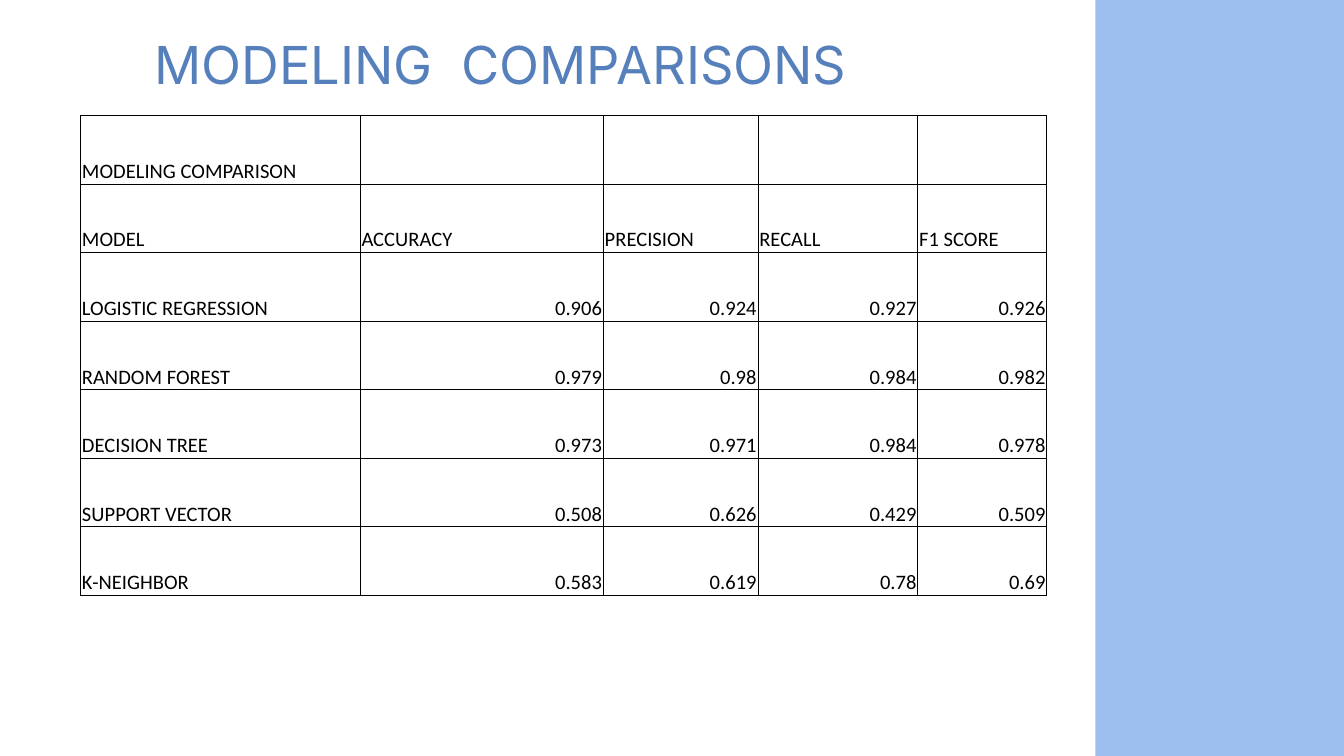
import pptx
import pptx.dml.color
import pptx.enum.shapes
import pptx.enum.text
import pptx.oxml
import pptx.oxml.ns
import pptx.util

Inches = pptx.util.Inches
Pt = pptx.util.Pt
RGB = pptx.dml.color.RGBColor.from_string

# Content
TITLE = "MODELING  COMPARISONS"
COMPARISON = [
    ("MODELING COMPARISON", "", "", "", ""),
    ("MODEL", "ACCURACY", "PRECISION", "RECALL", "F1 SCORE"),
    ("LOGISTIC REGRESSION", 0.906, 0.924, 0.927, 0.926),
    ("RANDOM FOREST", 0.979, 0.98, 0.984, 0.982),
    ("DECISION TREE", 0.973, 0.971, 0.984, 0.978),
    ("SUPPORT VECTOR", 0.508, 0.626, 0.429, 0.509),
    ("K-NEIGHBOR", 0.583, 0.619, 0.78, 0.69),
]

THEME = {
    "band": "9BBEEE",
    "title": {"name": "Inter", "size": 28, "color": "5680BC"},
    "cell": {"name": "Calibri", "size": 11, "color": "000000"},
    "background": "FFFFFF",
    "border": "000000",
    "border_width": 0.5,
}

# Layout, in inches; the slide is 16:9
SLIDE_WIDTH = 10
SLIDE_HEIGHT = SLIDE_WIDTH * 9 / 16
BAND_LEFT = 8.15
TABLE_LEFT, TABLE_TOP = 0.6, 0.86
COLUMN_WIDTHS = [2.08, 1.81, 1.15, 1.19, 0.96]
ROW_HEIGHT = 0.51


def set_margins(holder, left, top, right, bottom):
    holder.margin_left, holder.margin_top = Inches(left), Inches(top)
    holder.margin_right, holder.margin_bottom = Inches(right), Inches(bottom)


def style_font(font, style):
    font.name = style["name"]
    font.size = Pt(style["size"])
    font.color.rgb = RGB(style["color"])


def add_text(paragraph, text, style):
    run = paragraph.add_run()
    run.text = text
    style_font(run.font, style)


def add_borders(cell):
    properties = cell._tc.get_or_add_tcPr()
    for position, side in enumerate(("lnL", "lnR", "lnT", "lnB")):
        properties.insert(position, pptx.oxml.parse_xml(
            f'<a:{side} {pptx.oxml.ns.nsdecls("a")} w="{Pt(THEME["border_width"])}">'
            f'<a:solidFill><a:srgbClr val="{THEME["border"]}"/></a:solidFill></a:{side}>'))


def fill_cell(cell, value):
    cell.fill.background()
    add_borders(cell)
    cell.vertical_anchor = pptx.enum.text.MSO_ANCHOR.BOTTOM
    set_margins(cell, 0.01, 0.01, 0.01, 0)
    paragraph = cell.text_frame.paragraphs[0]
    if isinstance(value, float):
        paragraph.alignment = pptx.enum.text.PP_ALIGN.RIGHT
    if value == "":
        style_font(paragraph.font, THEME["cell"])
    else:
        add_text(paragraph, str(value), THEME["cell"])


def main():
    deck = pptx.Presentation()
    deck.slide_width, deck.slide_height = Inches(SLIDE_WIDTH), Inches(SLIDE_HEIGHT)
    slide = deck.slides.add_slide(deck.slide_layouts[6])
    slide.background.fill.solid()
    slide.background.fill.fore_color.rgb = RGB(THEME["background"])

    # Side band
    band = slide.shapes.add_shape(
        pptx.enum.shapes.MSO_SHAPE.RECTANGLE, Inches(BAND_LEFT), 0,
        Inches(SLIDE_WIDTH - BAND_LEFT), Inches(SLIDE_HEIGHT))
    band.shadow.inherit = False
    band.fill.solid()
    band.fill.fore_color.rgb = RGB(THEME["band"])
    band.line.fill.background()

    # Title
    title = slide.shapes.add_textbox(Inches(0.28), Inches(0.19), Inches(7.88), Inches(5.4))
    title.text_frame.word_wrap = True
    set_margins(title.text_frame, 0.87, 0.05, 0.1, 0.1)
    add_text(title.text_frame.paragraphs[0], TITLE, THEME["title"])

    # Comparison table
    comparison = slide.shapes.add_table(
        len(COMPARISON), len(COLUMN_WIDTHS), Inches(TABLE_LEFT), Inches(TABLE_TOP),
        Inches(sum(COLUMN_WIDTHS)), Inches(ROW_HEIGHT * len(COMPARISON))).table
    comparison.first_row = comparison.horz_banding = False
    for column, width in zip(comparison.columns, COLUMN_WIDTHS):
        column.width = Inches(width)
    for row, values in zip(comparison.rows, COMPARISON):
        row.height = Inches(ROW_HEIGHT)
        for cell, value in zip(row.cells, values):
            fill_cell(cell, value)

    deck.save("out.pptx")


if __name__ == "__main__":
    main()
